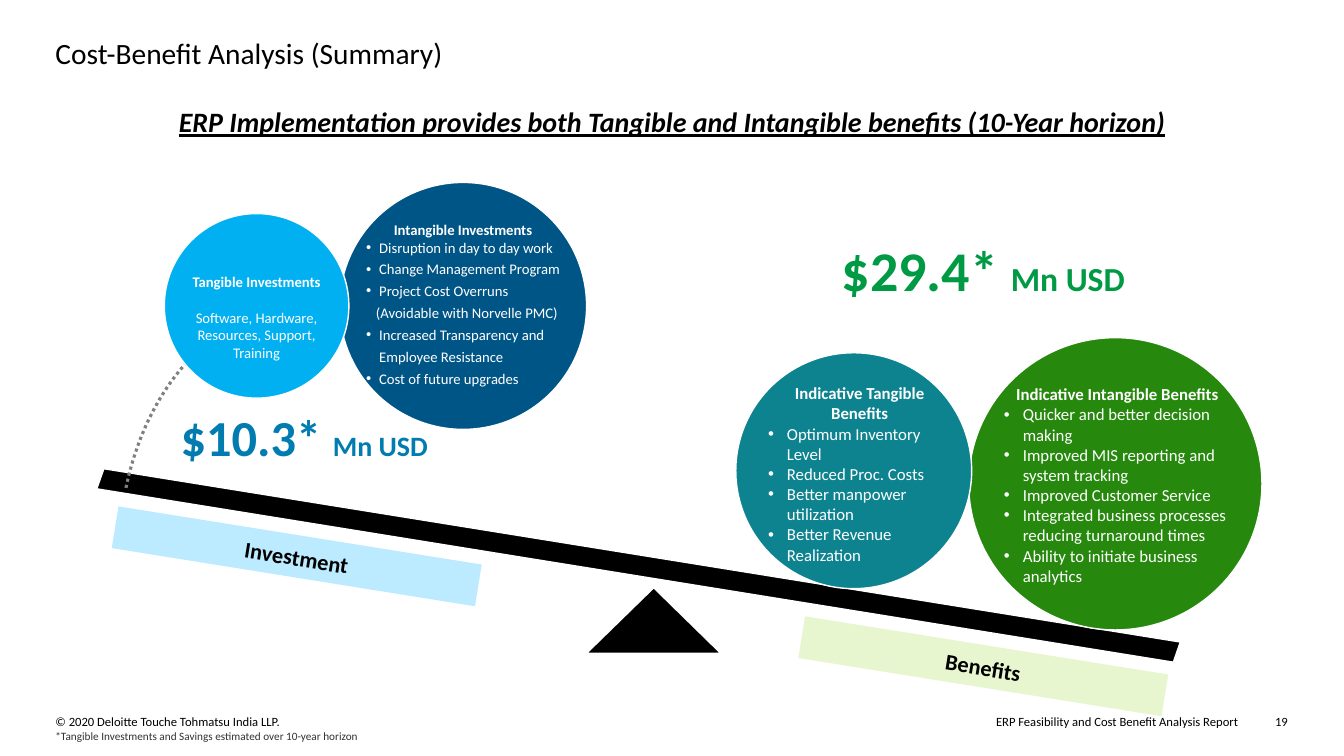
from lxml.etree import SubElement
from pptx import Presentation
from pptx.dml.color import RGBColor
from pptx.enum.dml import MSO_LINE as Dash
from pptx.enum.shapes import MSO_SHAPE as Form
from pptx.enum.text import MSO_ANCHOR as Anchor, MSO_AUTO_SIZE as Fit, PP_ALIGN as Align
from pptx.oxml.ns import qn
from pptx.util import Pt

hue = RGBColor.from_string


def paint(shape, fill, line=None):
    shape.shadow.inherit = False
    shape.fill.solid()
    shape.fill.fore_color.rgb = hue(fill)
    if line:
        shape.line.color.rgb = hue(line)
        shape.line.width = Pt(1)
    else:
        shape.line.fill.background()


def write(shape, runs, ink="000000", align=Align.LEFT, bold=False, left=0,
          dot=False, before=0, after=0, lead=1.0):
    frame = shape.text_frame
    para = frame.paragraphs[0] if not frame.text else frame.add_paragraph()
    props = para._p.get_or_add_pPr()
    props.set("marL", str(Pt(left)))
    props.set("indent", str(Pt(-left if dot else 0)))
    if dot:
        SubElement(props, qn("a:buFont"), typeface="Arial")
        SubElement(props, qn("a:buChar"), char="•")
    else:
        SubElement(props, qn("a:buNone"))
    para.alignment = align
    para.space_before, para.space_after = Pt(before), Pt(after)
    para.line_spacing = lead
    for words, size in runs:
        run = para.add_run()
        run.text = words
        run.font.name = "Calibri"
        run.font.size = Pt(size)
        run.font.bold = bold
        run.font.color.rgb = hue(ink)
    return para


deck = Presentation()
deck.slide_width, deck.slide_height = Pt(960), Pt(540)
slide = deck.slides.add_slide(deck.slide_layouts[3])
shapes = slide.shapes
title, *lists = slide.placeholders

# Title
title.left, title.top, title.width, title.height = Pt(39.6), Pt(25.2), Pt(881), Pt(26.6)
frame = title.text_frame
frame.margin_left = frame.margin_right = frame.margin_top = frame.margin_bottom = 0
frame.vertical_anchor, frame.auto_size = Anchor.TOP, Fit.NONE
write(title, [("Cost-Benefit Analysis (Summary)", 21)])

# Headline, footer and footnote
plain = [
    (127.4, 76.3, 705.6, 23, Align.CENTER, 20,
     "ERP Implementation provides both Tangible and Intangible benefits (10-Year horizon)"),
    (499, 509.8, 385.2, 10.8, Align.RIGHT, 9,
     "ERP Feasibility and Cost Benefit Analysis Report"),
    (39.6, 509.8, 422, 10.8, Align.LEFT, 9, "© 2020 Deloitte Touche Tohmatsu India LLP."),
    (910.8, 509.8, 14, 10.8, Align.LEFT, 9, "19"),
    (39.6, 521.3, 875.5, 9.4, Align.LEFT, 8,
     "*Tangible Investments and Savings estimated over 10-year horizon"),
]
for x, y, w, h, align, size, words in plain:
    box = shapes.add_textbox(Pt(x), Pt(y), Pt(w), Pt(h))
    frame = box.text_frame
    frame.word_wrap = True
    frame.margin_left = frame.margin_right = frame.margin_top = frame.margin_bottom = 0
    head = size == 20
    para = write(box, [(words, size)], "313131" if size == 8 else "000000",
                 align, head, lead=0.95 if head else 1.0)
    if head:
        frame.vertical_anchor = Anchor.BOTTOM
        para.runs[0].font.italic = para.runs[0].font.underline = True

# Intangible investments
cost = shapes.add_shape(Form.OVAL, Pt(242.6), Pt(130.3), Pt(176.4), Pt(176.4))
paint(cost, "005587", "FFFFFF")
frame = cost.text_frame
frame.margin_left = frame.margin_right = frame.margin_top = 0
frame.margin_bottom = Pt(2.9)
frame.word_wrap, frame.vertical_anchor = False, Anchor.MIDDLE
write(cost, [("Intangible Investments", 10.5)], "FFFFFF", Align.CENTER, True)
for words, left, dot in [
    ("Disruption in day to day work", 9.4, True),
    ("Change Management Program", 9.4, True),
    ("Project Cost Overruns", 9.4, True),
    ("(Avoidable with Norvelle PMC)", 7.1, False),
    ("Increased Transparency and", 9.4, True),
    ("Employee Resistance", 9.4, False),
    ("Cost of future upgrades", 9.4, True),
]:
    write(cost, [(words, 10.5)], "FFFFFF", left=left, dot=dot, after=3)

# Fulcrum and beam
for first, *rest in [
    [(419, 466.6), (514.8, 466.6), (467, 419.8)],
    [(74.2, 334.8), (69.1, 349.2), (838.1, 473), (843.1, 458.6)],
]:
    pen = shapes.build_freeform(Pt(first[0]), Pt(first[1]))
    pen.add_line_segments([(Pt(x), Pt(y)) for x, y in rest])
    paint(pen.convert_to_shape(), "000000", "FFFFFF")

# Dotted swing curve, a cubic sampled in equal steps
ends = [(90, 348.5), (100.8, 296.6), (128.2, 254.2), (164.2, 234)]
steps = 30
track = []
for step in range(steps + 1):
    t = step / steps
    parts = [(1 - t) ** 3, 3 * t * (1 - t) ** 2, 3 * t * t * (1 - t), t ** 3]
    track.append(tuple(Pt(sum(p * end[axis] for p, end in zip(parts, ends)))
                       for axis in (0, 1)))
pen = shapes.build_freeform(*track[0])
pen.add_line_segments(track[1:], close=False)
curve = pen.convert_to_shape()
curve.shadow.inherit = False
curve.fill.background()
curve.line.color.rgb = hue("808080")
curve.line.width = Pt(2.25)
curve.line.dash_style = Dash.ROUND_DOT

# Tangible investments
disc = shapes.add_shape(Form.OVAL, Pt(117.4), Pt(152.6), Pt(131.8), Pt(131.8))
paint(disc, "00B0F0", "FFFFFF")
box = shapes.add_textbox(Pt(117.4), Pt(191.5), Pt(131.8), Pt(70.6))
box.text_frame.word_wrap = True
write(box, [("Tangible Investments", 10.5)], "FFFFFF", Align.CENTER, True)
write(box, [("Software, Hardware, Resources, Support, Training", 10.5)],
      "FFFFFF", Align.CENTER, before=12.8)

# Benefits: a disc with a list on top
gains = [
    ("26890D", (691.9, 241.2, 209.5, 208.8), (709.9, 270.7, 176.4, 152.6),
     "Indicative Intangible Benefits",
     ["Quicker and better decision making",
      "Improved MIS reporting and system tracking",
      "Improved Customer Service",
      "Integrated business processes reducing turnaround times",
      "Ability to initiate business analytics"]),
    ("0D8390", (525.6, 252, 168.5, 168.5), (541.4, 270, 145.4, 138.2),
     "Indicative Tangible Benefits",
     ["Optimum Inventory Level", "Reduced Proc. Costs",
      "Better manpower utilization", "Better Revenue Realization"]),
]
for box, (fill, ring, area, head, items) in zip(lists, gains):
    disc = shapes.add_shape(Form.OVAL, *map(Pt, ring))
    paint(disc, fill, "FFFFFF")
    disc.element.addnext(box.element)
    box.left, box.top, box.width, box.height = map(Pt, area)
    frame = box.text_frame
    frame.auto_size, frame.vertical_anchor = Fit.NONE, Anchor.TOP
    frame.margin_left = frame.margin_right = Pt(7.2)
    frame.margin_top = frame.margin_bottom = Pt(3.6)
    write(box, [(head, 12)], "FFFFFF", Align.CENTER, True)
    for item in items:
        write(box, [(item, 12)], "FFFFFF", left=13.5, dot=True)

# Tilted labels and totals
tags = [
    (80.6, 382.3, 262.8, 30.2, "BCEBFF", "000000", [("Investment", 16)]),
    (571, 460.8, 262.8, 30.2, "E8F6CF", "000000", [("Benefits", 16)]),
    (593.3, 155.5, 218.2, 70.6, None, "009A44", [("$29.4* ", 40), ("Mn USD", 24)]),
    (116.6, 275, 201.6, 70.6, None, "007CB0", [("$10.3* ", 36), ("Mn USD", 20)]),
]
for x, y, w, h, fill, ink, runs in tags:
    area = Pt(x), Pt(y), Pt(w), Pt(h)
    if fill:
        tag = shapes.add_shape(Form.RECTANGLE, *area)
        paint(tag, fill)
        tag.rotation = 9.1
    else:
        tag = shapes.add_textbox(*area)
    frame = tag.text_frame
    frame.word_wrap, frame.vertical_anchor = True, Anchor.MIDDLE
    frame.margin_left = frame.margin_right = frame.margin_top = frame.margin_bottom = Pt(7.2)
    write(tag, runs, ink, Align.CENTER, True, lead=1.06)

deck.save("out.pptx")
